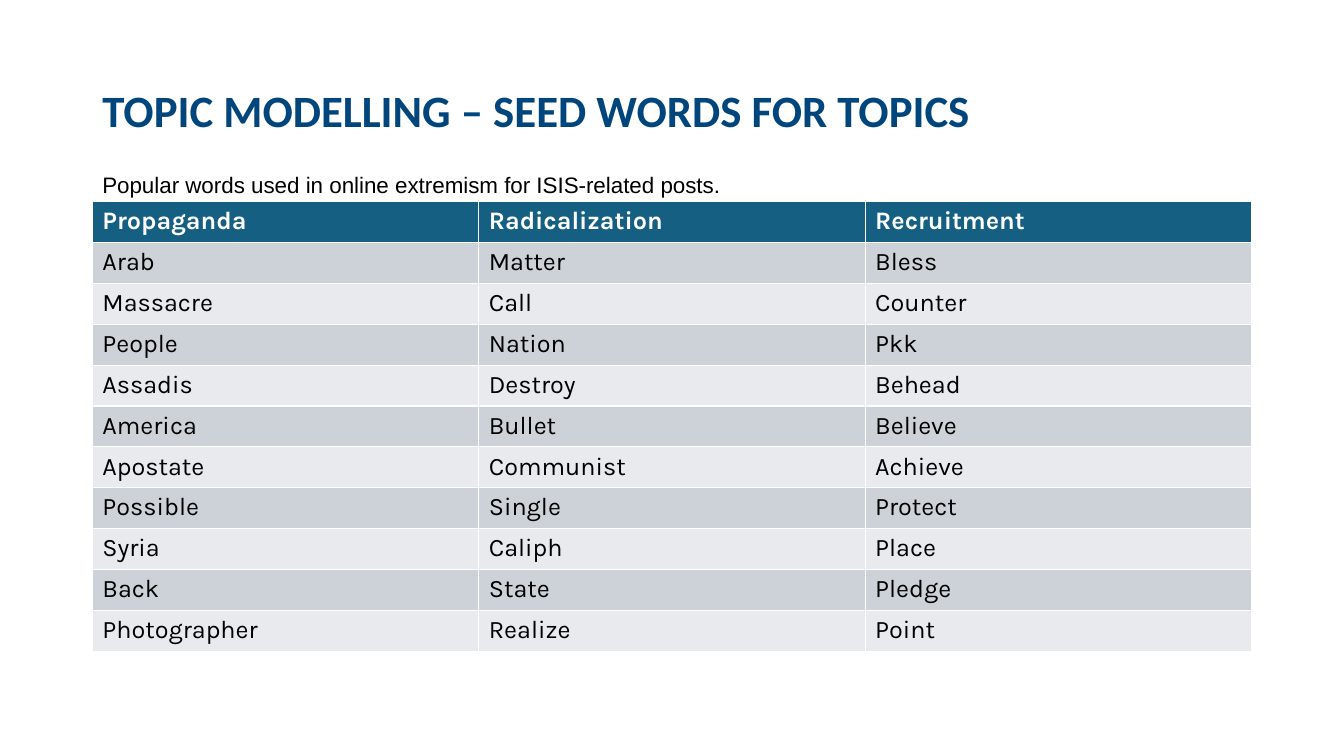
from dataclasses import dataclass

from pptx import Presentation
from pptx.dml.color import RGBColor
from pptx.enum.text import MSO_ANCHOR, MSO_AUTO_SIZE, PP_ALIGN
from pptx.util import Pt


@dataclass(frozen=True)
class Theme:
    title_color: str = "00467D"
    text_color: str = "000000"
    header_text: str = "FFFFFF"
    header_fill: str = "156082"
    odd_fill: str = "CCD2D8"
    even_fill: str = "E8EAED"
    title_font: str = "Calibri"
    caption_font: str = "Arial"
    table_font: str = "Karla"
    title_size: int = 32
    caption_size: int = 16
    table_size: int = 18


THEME = Theme()
TITLE = "TOPIC MODELLING – SEED WORDS FOR TOPICS"
CAPTION = "Popular words used in online extremism for ISIS-related posts."
SEED_WORDS = {
    "Propaganda": ["Arab", "Massacre", "People", "Assadis", "America",
                   "Apostate", "Possible", "Syria", "Back", "Photographer"],
    "Radicalization": ["Matter", "Call", "Nation", "Destroy", "Bullet",
                       "Communist", "Single", "Caliph", "State", "Realize"],
    "Recruitment": ["Bless", "Counter", "Pkk", "Behead", "Believe",
                    "Achieve", "Protect", "Place", "Pledge", "Point"],
}
LEFT = 66
WIDTH = 828
ROW_HEIGHT = 29.2


def write_text(text_frame, text, *, font, size, color, bold=False, line_spacing=None):
    paragraph = text_frame.paragraphs[0]
    paragraph.alignment = PP_ALIGN.LEFT
    paragraph.line_spacing = line_spacing
    run = paragraph.add_run()
    run.text = text
    run.font.name = font
    run.font.size = Pt(size)
    run.font.bold = bold
    run.font.color.rgb = RGBColor.from_string(color)


def add_title(slide):
    title = slide.shapes.title
    title.left, title.top = Pt(LEFT), Pt(28.75)
    title.width, title.height = Pt(WIDTH), Pt(104.4)
    title.text_frame.word_wrap = True
    title.text_frame.auto_size = MSO_AUTO_SIZE.NONE
    title.text_frame.vertical_anchor = MSO_ANCHOR.MIDDLE
    write_text(title.text_frame, TITLE, font=THEME.title_font, size=THEME.title_size,
               color=THEME.title_color, bold=True, line_spacing=0.9)


def add_caption(slide):
    caption = slide.shapes.add_textbox(Pt(LEFT), Pt(119), Pt(499), Pt(26.6))
    caption.text_frame.word_wrap = True
    caption.text_frame.auto_size = MSO_AUTO_SIZE.SHAPE_TO_FIT_TEXT
    write_text(caption.text_frame, CAPTION, font=THEME.caption_font,
               size=THEME.caption_size, color=THEME.text_color)


def fill_cell(cell, text, row_index):
    is_header = row_index == 0
    band_fill = THEME.odd_fill if row_index % 2 else THEME.even_fill
    cell.fill.solid()
    cell.fill.fore_color.rgb = RGBColor.from_string(
        THEME.header_fill if is_header else band_fill)
    write_text(cell.text_frame, text, font=THEME.table_font, size=THEME.table_size,
               color=THEME.header_text if is_header else THEME.text_color,
               bold=is_header)


def add_word_table(slide):
    rows = [tuple(SEED_WORDS), *zip(*SEED_WORDS.values())]
    table = slide.shapes.add_table(
        len(rows), len(SEED_WORDS), Pt(LEFT), Pt(144),
        Pt(WIDTH), Pt(ROW_HEIGHT * len(rows))).table
    for row_index, words in enumerate(rows):
        table.rows[row_index].height = Pt(ROW_HEIGHT)
        for column_index, word in enumerate(words):
            fill_cell(table.cell(row_index, column_index), word, row_index)


def main():
    presentation = Presentation()
    presentation.slide_width = Pt(960)
    presentation.slide_height = Pt(540)
    slide = presentation.slides.add_slide(
        presentation.slide_layouts.get_by_name("Title Only"))
    add_title(slide)
    add_word_table(slide)
    add_caption(slide)
    presentation.save("out.pptx")


if __name__ == "__main__":
    main()
